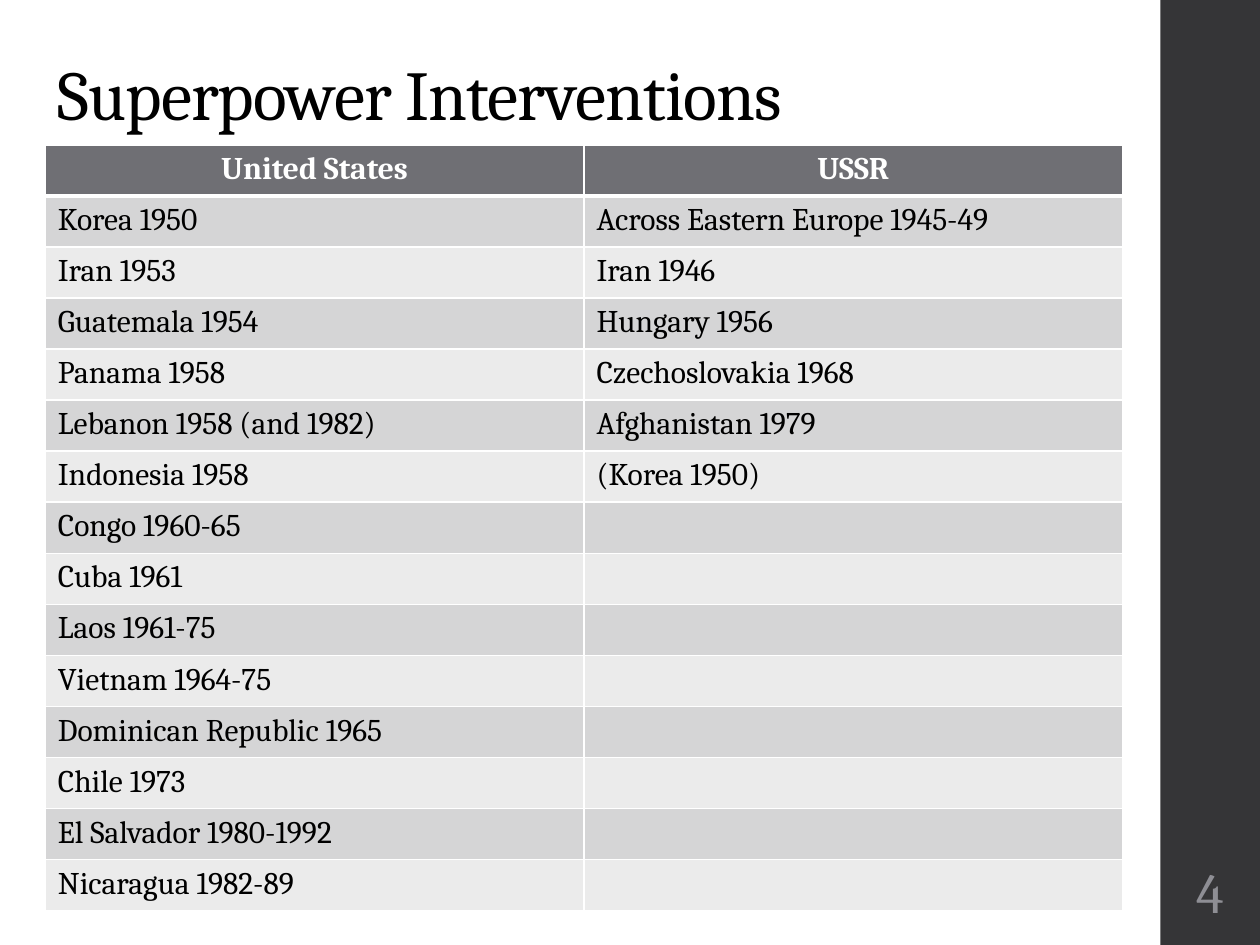
from itertools import zip_longest

from lxml import etree
from pptx import Presentation
from pptx.dml.color import RGBColor
from pptx.enum.shapes import MSO_SHAPE
from pptx.enum.text import MSO_ANCHOR, PP_ALIGN
from pptx.oxml.ns import qn
from pptx.util import Inches, Pt

RECT = MSO_SHAPE.RECTANGLE
MIDDLE, TOP = MSO_ANCHOR.MIDDLE, MSO_ANCHOR.TOP
LEFT, CENTER = PP_ALIGN.LEFT, PP_ALIGN.CENTER

WHITE = RGBColor(0xFF, 0xFF, 0xFF)
BLACK = RGBColor(0x00, 0x00, 0x00)
DARK = RGBColor(0x35, 0x35, 0x37)
HEAD = RGBColor(0x6F, 0x6F, 0x74)
BANDS = RGBColor(0xEB, 0xEB, 0xEB), RGBColor(0xD5, 0xD5, 0xD6)
GREY = RGBColor(0x8E, 0x8E, 0x94)

FONT = "Cambria"
WIDE, HIGH = 10, 7.5
EDGE = 0.36
HEADS = "United States", "USSR"
STATES = [
    "Korea 1950", "Iran 1953", "Guatemala 1954", "Panama 1958",
    "Lebanon 1958 (and 1982)", "Indonesia 1958", "Congo 1960-65",
    "Cuba 1961", "Laos 1961-75", "Vietnam 1964-75",
    "Dominican Republic 1965", "Chile 1973", "El Salvador 1980-1992",
    "Nicaragua 1982-89",
]
SOVIET = [
    "Across Eastern Europe 1945-49", "Iran 1946", "Hungary 1956",
    "Czechoslovakia 1968", "Afghanistan 1979", "(Korea 1950)",
]


def write(frame, text, size=18, color=BLACK, bold=False, align=LEFT,
          space=None, track=None):
    """Fill a text frame; space is line spacing, track is in points."""
    para = frame.paragraphs[0]
    para.alignment = align
    para.line_spacing = space
    para.font.size = Pt(size)
    if not text:
        return
    run = para.add_run()
    run.text = text
    font = run.font
    font.name, font.size, font.bold = FONT, Pt(size), bold
    font.color.rgb = color
    if track is not None:
        run._r.get_or_add_rPr().set("spc", str(round(track * 100)))


def add_text(slide, area, text, side=0.1, **form):
    box = slide.shapes.add_textbox(*map(Inches, area))
    frame = box.text_frame
    frame.word_wrap = True
    frame.vertical_anchor = MIDDLE
    frame.margin_left = frame.margin_right = Inches(side)
    write(frame, text, **form)


def add_bar(slide, area, color):
    bar = slide.shapes.add_shape(RECT, *map(Inches, area))
    bar.shadow.inherit = False
    bar.fill.solid()
    bar.fill.fore_color.rgb = color
    bar.line.fill.background()


def rule(cell, **sides):
    """Draw white cell borders, widths in points by side: L, R, T, B."""
    props = cell._tc.get_or_add_tcPr()
    for side, width in sides.items():
        line = etree.SubElement(props, qn(f"a:ln{side}"), w=str(Pt(width)))
        fill = etree.SubElement(line, qn("a:solidFill"))
        etree.SubElement(fill, qn("a:srgbClr"), val=str(WHITE))


def add_grid(slide, area, rows):
    shape = slide.shapes.add_table(len(rows), len(rows[0]),
                                   *map(Inches, area))
    for r, row in enumerate(rows):
        head = r == 0
        for c, text in enumerate(row):
            cell = shape.table.cell(r, c)
            rule(cell, L=1, R=1, T=3 if r == 1 else 1, B=3 if head else 1)
            cell.fill.solid()
            cell.fill.fore_color.rgb = HEAD if head else BANDS[r % 2]
            cell.vertical_anchor = TOP
            write(cell.text_frame, text, bold=head,
                  color=WHITE if head else BLACK,
                  align=CENTER if head else LEFT)


def main():
    deck = Presentation()
    deck.slide_width, deck.slide_height = Inches(WIDE), Inches(HIGH)
    slide = deck.slides.add_slide(deck.slide_layouts[6])
    add_bar(slide, (9.21, 0, 0.8, HIGH), DARK)
    add_text(slide, (EDGE, 0.4, 8.63, 0.75), "Superpower Interventions",
             size=40, space=0.9, track=-0.5)
    rows = [HEADS, *zip_longest(STATES, SOVIET, fillvalue="")]
    add_grid(slide, (EDGE, 1.15, 8.55, 6.08), rows)
    add_text(slide, (9.23, 0.9 * HIGH, 0.75, 0.65), "4", side=0.03,
             size=32, color=GREY, align=CENTER)
    deck.save("out.pptx")


if __name__ == "__main__":
    main()
